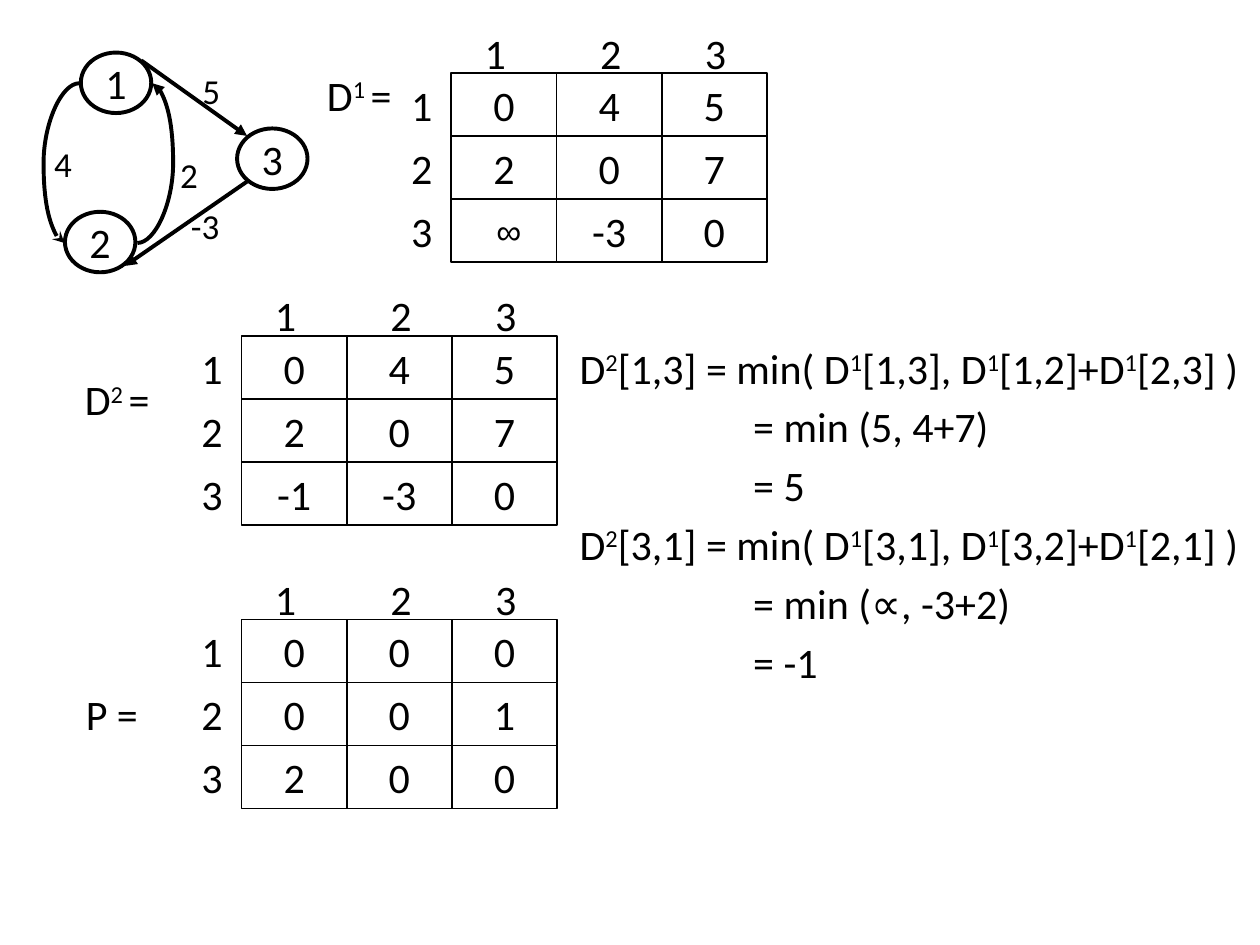
from lxml import etree
from pptx import Presentation
from pptx import util as u
from pptx.dml import color
from pptx.enum import shapes, text
from pptx.oxml import ns

INK = "000000"
CELL_W, CELL_H = 2.12, 1.27
LABEL_W = 0.94
COLUMN_OFFSETS = (0.42, 2.75, 4.86)
LABEL_GAP = 1.06  # distance of row and column labels before the grid
INFINITY = " ∞"


def rgb(value):
    return color.RGBColor.from_string(value)


class Board:
    """Holds the style and the slide; elements go to the current group."""

    font, size, small = "Calibri", 24, 20

    def __init__(self, slide):
        self.slide = slide
        self.shapes = slide.shapes

    def start_group(self):
        self.shapes = self.slide.shapes.add_group_shape().shapes

    def end_group(self):
        self.shapes = self.slide.shapes

    def add_runs(self, paragraph, content, size=None, font=None):
        """Add runs; parts between ^ marks are superscripts."""
        for position, part in enumerate(content.split("^")):
            if not part:
                continue
            run = paragraph.add_run()
            run.text = part
            run.font.size = u.Pt(size or self.size)
            run.font.name = font or self.font
            run.font.color.rgb = rgb(INK)
            if position % 2:
                run.font._element.set("baseline", "30000")

    def label(self, content, left, top, width=LABEL_W, height=CELL_H, size=None):
        box = self.shapes.add_textbox(u.Cm(left), u.Cm(top), u.Cm(width), u.Cm(height))
        frame = box.text_frame
        frame.word_wrap = False
        frame.auto_size = text.MSO_AUTO_SIZE.SHAPE_TO_FIT_TEXT
        self.add_runs(frame.paragraphs[0], content, size)

    def outlined(self, preset, content, left, top, width, height, weight, **style):
        shape = self.shapes.add_shape(
            preset, u.Cm(left), u.Cm(top), u.Cm(width), u.Cm(height))
        shape.shadow.inherit = False
        shape.fill.background()
        shape.line.color.rgb = rgb(INK)
        shape.line.width = u.Pt(weight)
        frame = shape.text_frame
        frame.word_wrap = False
        frame.vertical_anchor = text.MSO_ANCHOR.MIDDLE
        frame.paragraphs[0].alignment = text.PP_ALIGN.CENTER
        self.add_runs(frame.paragraphs[0], content, **style)

    def matrix(self, rows, left, top):
        self.start_group()
        for i, row in enumerate(rows):
            for j, value in enumerate(row):
                style = {"size": self.small, "font": "Arial"} if value == INFINITY else {}
                self.outlined(shapes.MSO_SHAPE.RECTANGLE, value, left + j * CELL_W,
                              top + i * CELL_H, CELL_W, CELL_H, 1, **style)
        for j, offset in enumerate(COLUMN_OFFSETS):
            self.label(str(j + 1), left + offset, top - LABEL_GAP)
        for i in range(len(rows)):
            self.label(str(i + 1), left - LABEL_GAP, top + i * CELL_H)
        self.end_group()

    def vertex(self, name, left, top):
        self.outlined(shapes.MSO_SHAPE.OVAL, name, left, top, 1.42, 1.22, 2.25)

    def edge(self, start, finish, end="tailEnd", arrow="triangle", bend=None):
        """Draw an arrow; bend is the curve's adjustment, None for a straight edge."""
        kind = shapes.MSO_CONNECTOR.STRAIGHT if bend is None else shapes.MSO_CONNECTOR.CURVE
        line = self.shapes.add_connector(kind, *(u.Cm(n) for n in (*start, *finish)))
        line.line.color.rgb = rgb(INK)
        line.line.width = u.Pt(2.25)
        properties = line._element.spPr
        if bend is not None:
            guides = properties.find(ns.qn("a:prstGeom")).find(ns.qn("a:avLst"))
            etree.SubElement(guides, ns.qn("a:gd"), name="adj1", fmla=f"val {bend}")
        etree.SubElement(properties.find(ns.qn("a:ln")), ns.qn(f"a:{end}"), type=arrow)
        etree.SubElement(properties, ns.qn("a:effectLst"))

    def derivation(self, lines, left, top, width, height):
        """Fill the body; lines that start with = are indented under the formula."""
        body = self.slide.placeholders[1]
        body.left, body.top = u.Cm(left), u.Cm(top)
        body.width, body.height = u.Cm(width), u.Cm(height)
        frame = body.text_frame
        frame.auto_size = text.MSO_AUTO_SIZE.NONE
        for i, content in enumerate(lines):
            paragraph = frame.add_paragraph() if i else frame.paragraphs[0]
            paragraph.alignment = text.PP_ALIGN.JUSTIFY
            margin, indent = (3.5, 0) if content.startswith("=") else (0.95, -0.95)
            properties = paragraph._p.get_or_add_pPr()
            properties.set("marL", str(u.Cm(margin)))
            properties.set("indent", str(u.Cm(indent)))
            etree.SubElement(properties, ns.qn("a:buNone"))
            self.add_runs(paragraph, content)


def main():
    deck = Presentation()
    deck.slide_width, deck.slide_height = u.Cm(25.4), u.Cm(19.05)
    slide = deck.slides.add_slide(deck.slide_layouts[1])
    title = slide.shapes.title._element
    title.getparent().remove(title)
    board = Board(slide)

    board.derivation([
        "D^2^[1,3] = min( D^1^[1,3], D^1^[1,2]+D^1^[2,3] )",
        "= min (5, 4+7)",
        "= 5",
        "D^2^[3,1] = min( D^1^[3,1], D^1^[3,2]+D^1^[2,1] )",
        "= min (∝, -3+2)",
        "= -1",
    ], 11.43, 6.77, 14.18, 10.16)

    board.label(" D^2 ^=", 1.27, 7.41, 2.24)
    board.matrix([("0", "4", "5"), ("2", "0", "7"), ("-1", "-3", "0")], 4.87, 6.77)
    board.matrix([("0", "0", "0"), ("0", "0", "1"), ("2", "0", "0")], 4.87, 12.49)
    board.label("P =", 1.48, 13.76, 1.68)

    board.start_group()
    for name, left, top in (("1", 1.63, 1.06), ("2", 1.31, 4.27), ("3", 4.78, 2.59)):
        board.vertex(name, left, top)
    board.edge((2.85, 1.22), (4.98, 2.74))
    board.edge((4.98, 3.66), (2.52, 5.36))
    board.edge((1.3, 4.9), (1.6, 1.68), "headEnd", "stealth", bend=-140600)
    board.edge((2.77, 4.9), (3.07, 1.68), bend=240600)
    for weight, left, top, width in (("5", 3.83, 1.27, 0.86), ("-3", 3.6, 3.99, 1.09),
                                     ("2", 3.38, 2.97, 0.86), ("4", 0.84, 2.74, 0.86)):
        board.label(weight, left, top, width, 1.09, board.small)
    board.end_group()

    board.label(" D^1 ^=", 6.15, 1.27, 2.24)
    board.matrix([("0", "4", "5"), ("2", "0", "7"), (INFINITY, "-3", "0")], 9.1, 1.48)
    deck.save("out.pptx")


if __name__ == "__main__":
    main()
